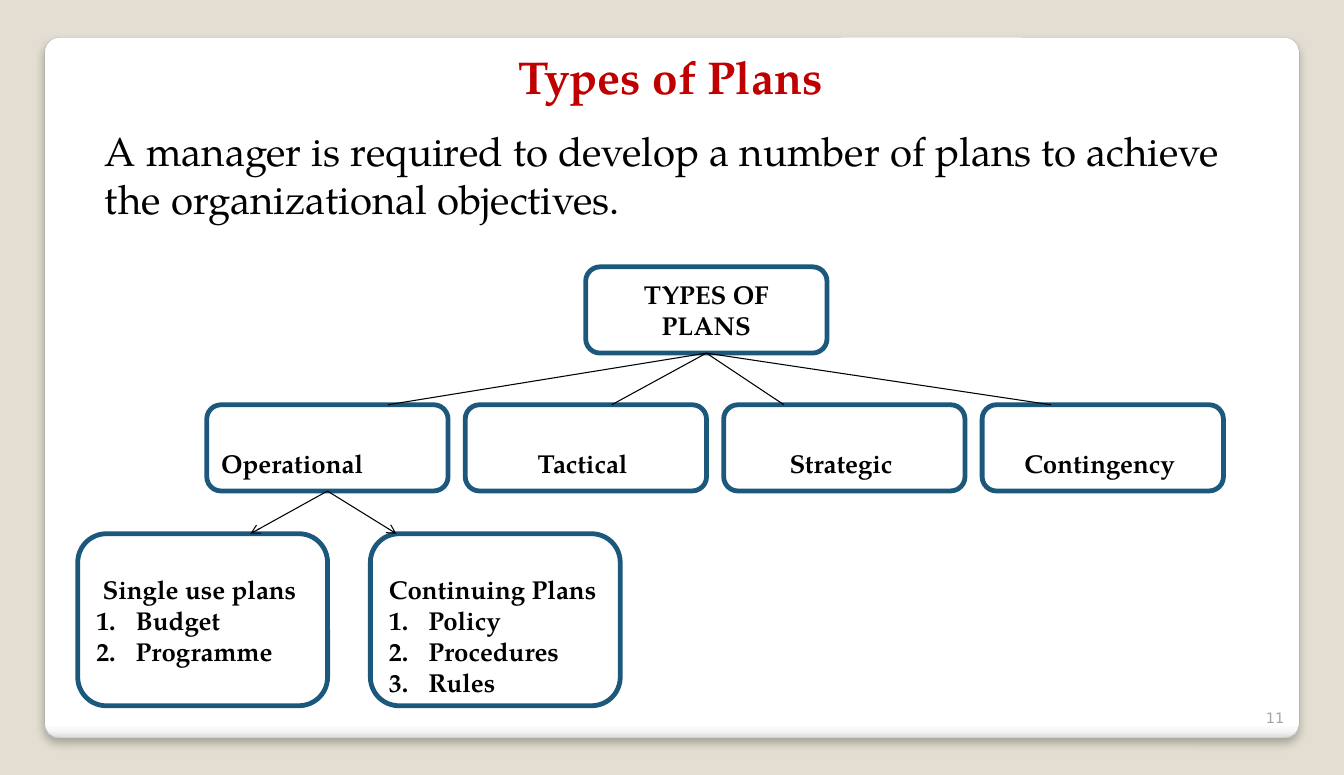
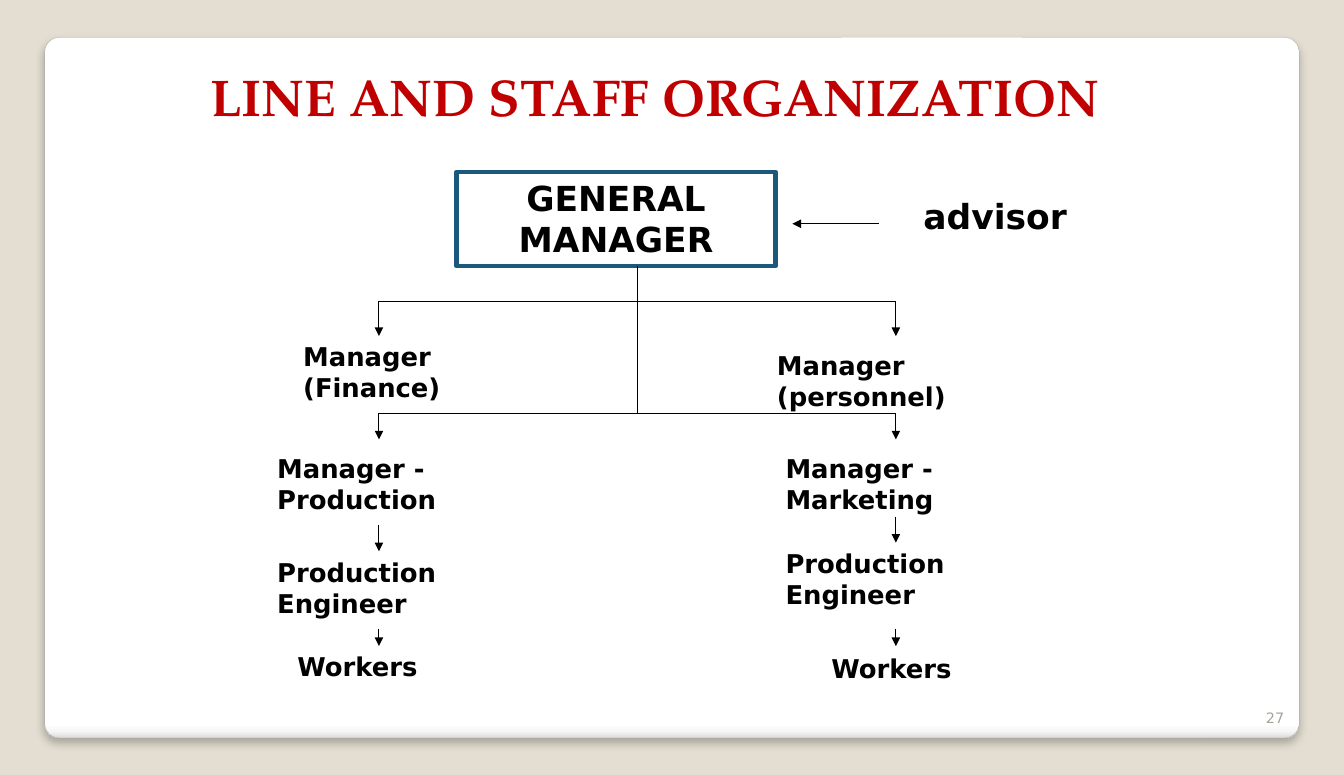
from lxml.etree import SubElement
from pptx import Presentation
from pptx.dml.color import RGBColor
from pptx.enum.shapes import MSO_CONNECTOR, MSO_SHAPE
from pptx.enum.text import MSO_ANCHOR, PP_ALIGN
from pptx.oxml.ns import qn
from pptx.util import Cm, Pt

# Shared look
BACKGROUND, WHITE, BLACK = "E3DED1", "FFFFFF", "000000"
RED, BLUE, GREY, EDGE = "C00000", "1B587C", "A8A49B", "A4A4A4"
SERIF, SANS = "TeX Gyre Pagella", "DejaVu Sans"
LEFT, CENTER, RIGHT = PP_ALIGN.LEFT, PP_ALIGN.CENTER, PP_ALIGN.RIGHT
PANEL = (1.1, 0.92, 30.82, 17.22)
PANEL_STOPS = [(0, "FFFFFF"), (98, "FFFFFF"), (99, "F7F7F7"), (100, "DADADA")]
NUMBER_BOX = (30.15, 16.97, 1.65, 1.01)
LINE_HEIGHT = 0.76
LIST_INDENT = 0.97

BOX_TEXT = {"name": SERIF, "size": 18, "bold": True, "color": BLACK}
LABEL_TEXT = {"name": SANS, "size": 18, "bold": True, "color": BLACK}
HEAD_TEXT = LABEL_TEXT | {"size": 24}
BODY_TEXT = {"name": SERIF, "size": 28, "color": BLACK}
TITLE_TEXT = {"name": SERIF, "size": 32, "bold": True, "color": RED}
NUMBER_TEXT = {"name": SANS, "size": 10, "color": GREY}

# Content of the plan tree (positions in cm)
PLANS_BODY = ("A manager is required to develop a number of plans to achieve "
              "the organizational objectives.")
# (name, alignment, x where the line from the root arrives)
PLAN_KINDS = [("Operational", LEFT, 9.53), ("Tactical ", CENTER, 15.03),
              ("Strategic ", CENTER, 19.26), ("Contingency ", CENTER, 25.82)]
# (heading, alignment, items, blank space above, left, x where the arrow arrives)
OPERATIONAL_PLANS = [
    ("Single use plans ", CENTER, ["Budget", "Programme"], 0, 1.91, 6.15),
    ("Continuing Plans", LEFT, ["Policy", "Procedures", "Rules"],
     LINE_HEIGHT, 9.1, 9.74),
]
PLAN_WIDTH, PLAN_HEIGHT = 5.93, 2.12
ROOT_LEFT, ROOT_TOP = 14.39, 6.56
KIND_LEFT, KIND_TOP, KIND_STEP = 5.08, 9.95, 6.35
LEAF_TOP, LEAF_WIDTH, LEAF_HEIGHT = 13.12, 6.14, 4.23

# Content of the organization chart
MANAGER_BOX = (11.22, 4.23, 7.83, 2.31)
TRUNK_X, BRANCHES_X = 15.66, (9.31, 22.01)
# (y of the bar, y of the arrow tips)
BARS = [(7.41, 8.26), (10.16, 10.8)]
# (text, left, top, width, alignment)
POSITIONS = [
    ("Manager (Finance)", 7.2, 8.26, 4.87, LEFT),
    ("Manager (personnel)", 18.84, 8.47, 6.77, LEFT),
    ("Manager - Production", 6.56, 11.01, 5.93, LEFT),
    ("Manager - Marketing", 19.05, 11.01, 7.62, LEFT),
    ("Production Engineer", 6.56, 13.55, 6.14, LEFT),
    ("Production Engineer", 19.05, 13.34, 6.35, LEFT),
    ("Workers", 5.93, 15.88, 5.71, CENTER),
    ("Workers", 19.05, 15.93, 5.71, CENTER),
]
# Arrows down to the engineers and to the workers, for each branch
STEPS_DOWN = [[(12.91, 13.55), (15.45, 15.88)], [(12.7, 13.34), (15.45, 15.88)]]


def rgb(color):
    return RGBColor.from_string(color)


def write(paragraph, text, style, alignment=LEFT):
    paragraph.alignment = alignment
    run = paragraph.add_run()
    run.text = text
    for key, value in style.items():
        if key == "color":
            run.font.color.rgb = rgb(value)
        else:
            setattr(run.font, key, Pt(value) if key == "size" else value)


def add_text(slide, place, text, style, alignment=LEFT, anchor=MSO_ANCHOR.TOP):
    frame = slide.shapes.add_textbox(*map(Cm, place)).text_frame
    frame.word_wrap = True
    frame.vertical_anchor = anchor
    write(frame.paragraphs[0], text, style, alignment)


def add_box(slide, place, text, style, alignment=CENTER, space_above=0,
            kind=MSO_SHAPE.ROUNDED_RECTANGLE, anchor=MSO_ANCHOR.MIDDLE):
    shape = slide.shapes.add_shape(kind, *map(Cm, place))
    shape.shadow.inherit = False
    shape.fill.solid()
    shape.fill.fore_color.rgb = rgb(WHITE)
    shape.line.color.rgb = rgb(BLUE)
    shape.line.width = Pt(3.35)
    frame = shape.text_frame
    frame.word_wrap = True
    frame.vertical_anchor = anchor
    frame.margin_top += Cm(space_above)
    write(frame.paragraphs[0], text, style, alignment)
    return frame


def add_numbered(frame, items):
    for item in items:
        paragraph = frame.add_paragraph()
        write(paragraph, item, BOX_TEXT)
        properties = paragraph._p.get_or_add_pPr()
        properties.set("marL", str(Cm(LIST_INDENT)))
        properties.set("indent", str(-Cm(LIST_INDENT)))
        SubElement(properties, qn("a:buFont"), typeface="+mj-lt")
        SubElement(properties, qn("a:buAutoNum"), type="arabicPeriod")


def add_line(slide, start, end, head=None):
    connector = slide.shapes.add_connector(
        MSO_CONNECTOR.STRAIGHT, *map(Cm, start + end))
    connector.line.color.rgb = rgb(BLACK)
    connector.line.width = Pt(0.75)
    properties = connector.element.spPr
    if head:
        SubElement(properties.find(qn("a:ln")), qn("a:tailEnd"), type=head)
    SubElement(properties, qn("a:effectLst"))


def add_panel(slide):
    panel = slide.shapes.add_shape(MSO_SHAPE.ROUNDED_RECTANGLE, *map(Cm, PANEL))
    panel.adjustments[0] = 0.021
    panel.line.color.rgb = rgb(EDGE)
    panel.line.width = Pt(0.16)
    panel.fill.gradient()
    panel.fill.gradient_angle = 270
    properties = panel.element.spPr
    stops = properties.find(".//" + qn("a:gsLst"))
    for stop in list(stops):
        stops.remove(stop)
    for position, color in PANEL_STOPS:
        stop = SubElement(stops, qn("a:gs"), pos=str(position * 1000))
        SubElement(stop, qn("a:srgbClr"), val=color)
    # Soft shadow below the panel
    panel.shadow.inherit = False
    shadow = SubElement(properties.find(qn("a:effectLst")), qn("a:outerShdw"),
                        blurRad=str(Pt(6)), dist=str(Pt(4)), dir="5400000",
                        algn="t", rotWithShape="0")
    color = SubElement(shadow, qn("a:srgbClr"), val=BLACK)
    SubElement(color, qn("a:alpha"), val="25000")


def new_slide(presentation, number, title, title_place, title_size):
    slide = presentation.slides.add_slide(presentation.slide_layouts[6])
    slide.background.fill.solid()
    slide.background.fill.fore_color.rgb = rgb(BACKGROUND)
    add_panel(slide)
    add_text(slide, NUMBER_BOX, number, NUMBER_TEXT, RIGHT, MSO_ANCHOR.BOTTOM)
    add_text(slide, title_place, title, TITLE_TEXT | {"size": title_size}, CENTER)
    return slide


def build_plans(presentation):
    slide = new_slide(presentation, "11", "Types of Plans ",
                      (4.65, 1.07, 23.93, 1.63), 32)
    add_text(slide, (2.33, 2.98, 28.79, 2.63), PLANS_BODY, BODY_TEXT)

    # Root and the four kinds of plan
    add_box(slide, (ROOT_LEFT, ROOT_TOP, PLAN_WIDTH, PLAN_HEIGHT),
            "TYPES OF PLANS", BOX_TEXT)
    root_foot = (ROOT_LEFT + PLAN_WIDTH / 2, ROOT_TOP + PLAN_HEIGHT)
    for index, (name, alignment, line_x) in enumerate(PLAN_KINDS):
        place = (KIND_LEFT + index * KIND_STEP, KIND_TOP, PLAN_WIDTH, PLAN_HEIGHT)
        add_box(slide, place, name, BOX_TEXT, alignment, LINE_HEIGHT)
        add_line(slide, root_foot, (line_x, KIND_TOP))

    # Operational plans
    kind_foot = (KIND_LEFT + PLAN_WIDTH / 2, KIND_TOP + PLAN_HEIGHT)
    for heading, alignment, items, space, left, arrow_x in OPERATIONAL_PLANS:
        frame = add_box(slide, (left, LEAF_TOP, LEAF_WIDTH, LEAF_HEIGHT),
                        heading, BOX_TEXT, alignment, space)
        add_numbered(frame, items)
        add_line(slide, kind_foot, (arrow_x, LEAF_TOP), "arrow")


def build_organization(presentation):
    slide = new_slide(presentation, "27", "LINE AND STAFF ORGANIZATION",
                      (1.7, 1.47, 28.78, 3.17), 36)

    # General manager and advisor
    add_box(slide, MANAGER_BOX, "GENERAL MANAGER", HEAD_TEXT,
            kind=MSO_SHAPE.RECTANGLE, anchor=MSO_ANCHOR.TOP)
    add_text(slide, (21.38, 4.66, 6.14, 1.3), "advisor", HEAD_TEXT, CENTER)
    add_line(slide, (21.59, 5.5), (19.47, 5.5), "triangle")

    # Trunk, bars and arrows
    trunk_top = MANAGER_BOX[1] + MANAGER_BOX[3]
    add_line(slide, (TRUNK_X, trunk_top), (TRUNK_X, BARS[-1][0]))
    for bar_y, tip_y in BARS:
        add_line(slide, (BRANCHES_X[0], bar_y), (BRANCHES_X[1], bar_y))
        for x in BRANCHES_X:
            add_line(slide, (x, bar_y), (x, tip_y), "triangle")
    for x, steps in zip(BRANCHES_X, STEPS_DOWN):
        for top, tip in steps:
            add_line(slide, (x, top), (x, tip), "triangle")

    # Positions
    for text, left, top, width, alignment in POSITIONS:
        height = 1.02 if text == "Workers" else 1.8
        add_text(slide, (left, top, width, height), text, LABEL_TEXT, alignment)


def main():
    presentation = Presentation()
    presentation.slide_width = Cm(33.02)
    presentation.slide_height = Cm(19.05)
    build_plans(presentation)
    build_organization(presentation)
    presentation.save("out.pptx")


if __name__ == "__main__":
    main()
